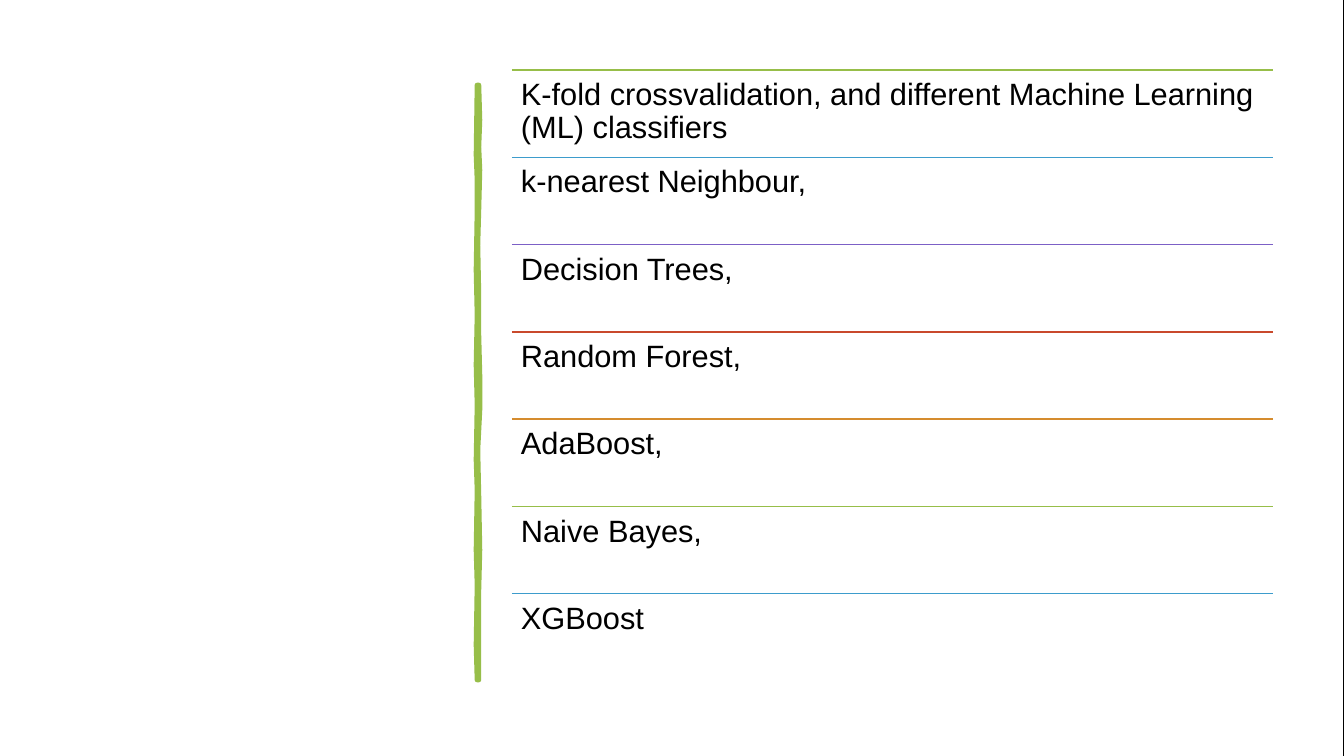
from lxml.etree import SubElement
from pptx import Presentation
from pptx.dml.color import RGBColor
from pptx.enum.shapes import MSO_CONNECTOR, MSO_SHAPE
from pptx.enum.text import MSO_ANCHOR
from pptx.oxml.ns import qn
from pptx.util import Emu, Pt

PX = 12192000 / 1344
SLIDE_W, SLIDE_H = 1344, 756

BLACK = RGBColor(0x00, 0x00, 0x00)
WHITE = RGBColor(0xFF, 0xFF, 0xFF)
GREEN = RGBColor(0x97, 0xBE, 0x49)
BLUE = RGBColor(0x3D, 0x9C, 0xCC)
PURPLE = RGBColor(0x7C, 0x60, 0xC6)
RED = RGBColor(0xC9, 0x49, 0x2C)
ORANGE = RGBColor(0xD5, 0x8C, 0x2E)
RULE_COLOURS = [GREEN, BLUE, PURPLE, RED, ORANGE]

TOPICS = [
    "K-fold crossvalidation, and different Machine Learning (ML) classifiers",
    "k-nearest Neighbour,",
    "Decision Trees,",
    "Random Forest,",
    "AdaBoost,",
    "Naive Bayes,",
    "XGBoost",
]

# Brush outline: (x, y) offsets from the top left of its box
BRUSH_RIGHT = [(4, 0), (5, 35), (4, 62), (5, 85), (4, 125), (3, 160), (4, 210),
               (4, 250), (5, 290), (5, 325), (3, 365), (4, 410), (5, 465),
               (4, 505), (4, 595)]
BRUSH_LEFT = [(2, 595), (1, 560), (2, 500), (1, 465), (2, 405), (1, 375),
              (2, 320), (1, 280), (2, 230), (1, 185), (2, 125), (2, 95),
              (1, 70), (2, 0)]


def px(n):
    return Emu(round(n * PX))


def add_background(slide, x, y, w, h):
    slide.background.fill.solid()
    slide.background.fill.fore_color.rgb = BLACK
    panel = slide.shapes.add_shape(MSO_SHAPE.RECTANGLE, px(x), px(y), px(w), px(h))
    panel.shadow.inherit = False
    panel.fill.solid()
    panel.fill.fore_color.rgb = WHITE
    panel.line.fill.background()


def add_brush_stroke(slide, x, y):
    start, *rest = BRUSH_RIGHT + BRUSH_LEFT
    builder = slide.shapes.build_freeform(*start, scale=PX)
    builder.add_line_segments(rest, close=True)
    brush = builder.convert_to_shape(px(x), px(y))
    brush.shadow.inherit = False
    brush.fill.solid()
    brush.fill.fore_color.rgb = GREEN
    brush.line.color.rgb = GREEN
    brush.line.width = Pt(3.25)


def add_rule(slide, x, y, w, colour):
    rule = slide.shapes.add_connector(
        MSO_CONNECTOR.STRAIGHT, px(x), px(y), px(x + w), px(y))
    rule.line.color.rgb = colour
    rule.line.width = Pt(1)
    SubElement(rule._element.spPr, qn("a:effectLst"))


def add_topic(slide, x, y, w, h, text):
    tf = slide.shapes.add_textbox(px(x), px(y), px(w), px(h)).text_frame
    tf.word_wrap = True
    tf.vertical_anchor = MSO_ANCHOR.TOP
    tf.margin_left = tf.margin_right = tf.margin_top = tf.margin_bottom = px(9)
    tf.text = text
    p = tf.paragraphs[0]
    p.line_spacing = 0.9
    font = p.runs[0].font
    font.name = "Arial"
    font.size = Pt(22)
    font.color.rgb = BLACK


def add_topic_list(slide, x, y, w, h):
    row_h = h / len(TOPICS)
    for i, text in enumerate(TOPICS):
        top = y + i * row_h
        add_rule(slide, x, top, w, RULE_COLOURS[i % len(RULE_COLOURS)])
        add_topic(slide, x, top, w, row_h, text)


def main():
    prs = Presentation()
    prs.slide_width, prs.slide_height = px(SLIDE_W), px(SLIDE_H)
    slide = prs.slides.add_slide(prs.slide_layouts[6])
    add_background(slide, 0, 0, SLIDE_W - 1, SLIDE_H)
    add_brush_stroke(slide, 475, 85)
    add_topic_list(slide, 512, 70, 761, 611)
    prs.save("out.pptx")


if __name__ == "__main__":
    main()
